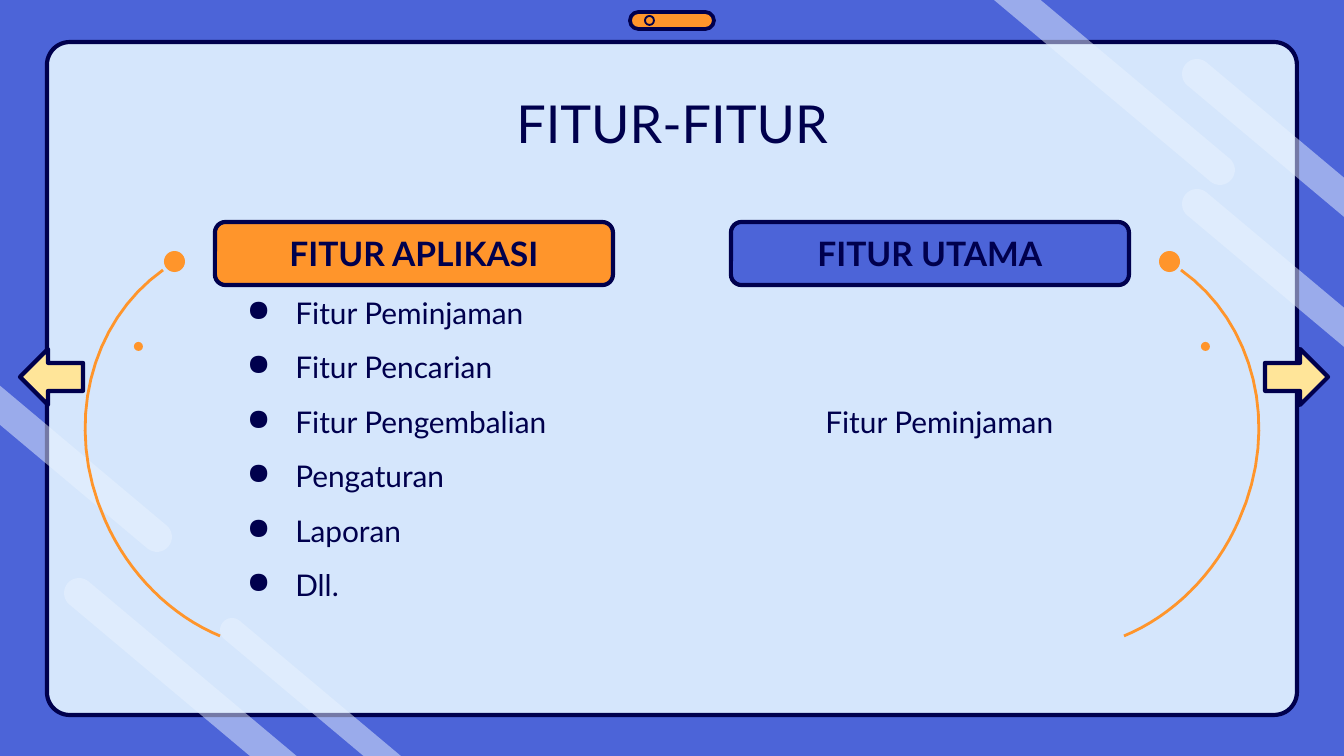
from math import atan2, cos, pi, radians, sin
from typing import NamedTuple

from lxml.etree import SubElement
from pptx import Presentation
from pptx.dml.color import RGBColor
from pptx.enum.shapes import MSO_SHAPE as Preset
from pptx.enum.text import MSO_ANCHOR as Anchor, PP_ALIGN as Align
from pptx.oxml.ns import qn
from pptx.util import Emu, Inches, Pt

SLIDE_WIDTH, SLIDE_HEIGHT = 1344, 756
PX = Inches(10) / SLIDE_WIDTH
FONT = "Lato"

NAVY = RGBColor(0x00, 0x00, 0x4D)
BLUE = RGBColor(0x4C, 0x64, 0xD8)
PALE = RGBColor(0xD5, 0xE6, 0xFC)
GLARE = RGBColor(0xE9, 0xF3, 0xFF)
ORANGE = RGBColor(0xFF, 0x95, 0x2B)
YELLOW = RGBColor(0xFF, 0xE5, 0x99)

STRIPE_SLOPE = radians(40)
CAP_STEPS = 16
CURVE_STEPS = 16

Point = tuple[float, float]


class Box(NamedTuple):
    left: int
    top: int
    width: int
    height: int


class Stripe(NamedTuple):
    """A bar with one round cap, cut off where it meets a slide edge."""
    cap_x: int
    cap_y: int
    radius: int
    edge_axis: int  # 0 for a vertical edge, 1 for a horizontal one
    edge: int


class Header(NamedTuple):
    text: str
    left: int
    fill: RGBColor


class Arrow(NamedTuple):
    preset: Preset
    left: int


STRIPES = [
    Stripe(79, 593, 15, 1, SLIDE_HEIGHT),
    Stripe(232, 630, 12, 1, SLIDE_HEIGHT),
    Stripe(1220, 170, 15, 1, 0),
    Stripe(1197, 74, 15, 0, SLIDE_WIDTH),
    Stripe(1197, 204, 15, 0, SLIDE_WIDTH),
    Stripe(157, 537, 15, 0, 0),
]
HEADERS = [
    Header("FITUR UTAMA", 731, BLUE),
    Header("FITUR APLIKASI", 215, ORANGE),
]
ARROWS = [Arrow(Preset.LEFT_ARROW, 20), Arrow(Preset.RIGHT_ARROW, 1265)]
FEATURES = ["Fitur Peminjaman", "Fitur Pencarian", "Fitur Pengembalian",
            "Pengaturan", "Laporan", "Dll."]
# Two Bézier curves, joined end to end, for the arc on the right
ARC = [
    [(1181, 270), (1254, 322), (1281, 426), (1239, 520)],
    [(1239, 520), (1215, 575), (1172, 616), (1124, 636)],
]
DOTS = [Box(1159, 251, 21, 21), Box(1201, 342, 9, 9)]


def emu(*lengths: float) -> list[Emu]:
    return [Emu(round(length * PX)) for length in lengths]


def paint(shape, fill: RGBColor | None, line: RGBColor | None = None,
          points: float = 2.25) -> None:
    shape.shadow.inherit = False
    if fill is None:
        shape.fill.background()
    else:
        shape.fill.solid()
        shape.fill.fore_color.rgb = fill
    if line is None:
        shape.line.fill.background()
    else:
        shape.line.color.rgb = line
        shape.line.width = Pt(points)


def add_preset(slide, preset: Preset, box: Box, fill: RGBColor | None,
               line: RGBColor | None = None, points: float = 2.25,
               rounding: float | None = None):
    shape = slide.shapes.add_shape(preset, *emu(*box))
    paint(shape, fill, line, points)
    if rounding is not None:
        shape.adjustments[0] = rounding
    return shape


def add_outline(slide, points: list[Point], close: bool):
    start, *rest = [emu(*point) for point in points]
    builder = slide.shapes.build_freeform(*start, scale=1.0)
    builder.add_line_segments(rest, close=close)
    return builder.convert_to_shape()


def add_stripe(slide, stripe: Stripe) -> None:
    centre = (stripe.cap_x, stripe.cap_y)
    inward = stripe.edge < centre[stripe.edge_axis]
    angle = STRIPE_SLOPE + (pi if inward else 0)
    along = (cos(angle), sin(angle))
    cap = []
    for step in range(CAP_STEPS + 1):
        turn = angle + pi / 2 + pi * step / CAP_STEPS
        cap.append((stripe.cap_x + stripe.radius * cos(turn),
                    stripe.cap_y + stripe.radius * sin(turn)))

    def reach_edge(point: Point) -> Point:
        axis = stripe.edge_axis
        distance = (stripe.edge - point[axis]) / along[axis]
        return (point[0] + distance * along[0], point[1] + distance * along[1])

    shape = add_outline(slide, [reach_edge(cap[0]), *cap, reach_edge(cap[-1])], True)
    paint(shape, GLARE)
    color = shape._element.spPr.find(f"{qn('a:solidFill')}/{qn('a:srgbClr')}")
    SubElement(color, qn("a:alpha"), val="50000")


def curve_point(controls: list[Point], t: float) -> Point:
    weights = ((1 - t) ** 3, 3 * t * (1 - t) ** 2, 3 * t * t * (1 - t), t ** 3)
    x, y = (sum(w * c[axis] for w, c in zip(weights, controls)) for axis in (0, 1))
    return x, y


def add_orbit(slide, mirrored: bool) -> None:
    """Draw an arc and its two dots, on the right or mirrored to the left."""
    points = [curve_point(controls, step / CURVE_STEPS)
              for controls in ARC for step in range(CURVE_STEPS + 1)]
    if mirrored:
        points = [(SLIDE_WIDTH - x, y) for x, y in points]
    paint(add_outline(slide, points, False), None, ORANGE, 1.5)
    for dot in DOTS:
        if mirrored:
            dot = dot._replace(left=SLIDE_WIDTH - dot.left - dot.width)
        add_preset(slide, Preset.OVAL, dot, ORANGE)


def write(shape, lines: list[str], size: int, align: Align = Align.CENTER,
          bold: bool = False, anchor: Anchor = Anchor.TOP) -> list:
    frame = shape.text_frame
    frame.word_wrap = True
    frame.vertical_anchor = anchor
    frame.margin_left = frame.margin_right = Inches(0.1)
    frame.margin_top = frame.margin_bottom = Inches(0.1)
    frame.text = "\n".join(lines)
    for paragraph in frame.paragraphs:
        paragraph.alignment = align
        font = paragraph.font
        font.name, font.size, font.bold = FONT, Pt(size), bold
        font.color.rgb = NAVY
    return list(frame.paragraphs)


def indent(paragraph, left: float, first: float = 0) -> None:
    properties = paragraph._p.get_or_add_pPr()
    properties.set("marL", str(Inches(left)))
    properties.set("indent", str(Inches(first)))


def add_bullet(paragraph) -> None:
    paragraph.space_before = Pt(10)
    indent(paragraph, 0.5, -0.36)
    properties = paragraph._p.get_or_add_pPr()
    color = SubElement(properties, qn("a:buClr"))
    SubElement(color, qn("a:srgbClr"), val=str(NAVY))
    SubElement(properties, qn("a:buChar"), char="●")


def main() -> None:
    presentation = Presentation()
    presentation.slide_width, presentation.slide_height = emu(SLIDE_WIDTH, SLIDE_HEIGHT)
    slide = presentation.slides.add_slide(presentation.slide_layouts[6])
    slide.background.fill.solid()
    slide.background.fill.fore_color.rgb = BLUE

    rounded = Preset.ROUNDED_RECTANGLE
    add_preset(slide, rounded, Box(47, 42, 1250, 673), PALE, NAVY, rounding=0.034)
    for stripe in STRIPES:
        add_stripe(slide, stripe)
    add_preset(slide, rounded, Box(630, 12, 84, 17), ORANGE, NAVY, 2, rounding=0.5)
    add_preset(slide, Preset.OVAL, Box(645, 16, 9, 9), None, NAVY, 1)

    for header in HEADERS:
        shape = add_preset(slide, rounded, Box(header.left, 222, 398, 63),
                           header.fill, NAVY, rounding=0.167)
        write(shape, [header.text], 18, bold=True, anchor=Anchor.MIDDLE)

    add_orbit(slide, mirrored=False)
    features = slide.shapes.add_textbox(*emu(215, 281, 398, 351))
    for paragraph in write(features, FEATURES, 16, Align.LEFT):
        add_bullet(paragraph)
    main_feature = slide.shapes.add_textbox(*emu(731, 390, 398, 242))
    for paragraph in write(main_feature, FEATURES[:1], 16):
        indent(paragraph, 0.14)
    title = slide.shapes.add_textbox(*emu(106, 78, 1132, 85))
    write(title, ["FITUR-FITUR"], 28)
    add_orbit(slide, mirrored=True)

    for arrow in ARROWS:
        add_preset(slide, arrow.preset, Box(arrow.left, 349, 63, 56), YELLOW, NAVY)
    presentation.save("out.pptx")


if __name__ == "__main__":
    main()
